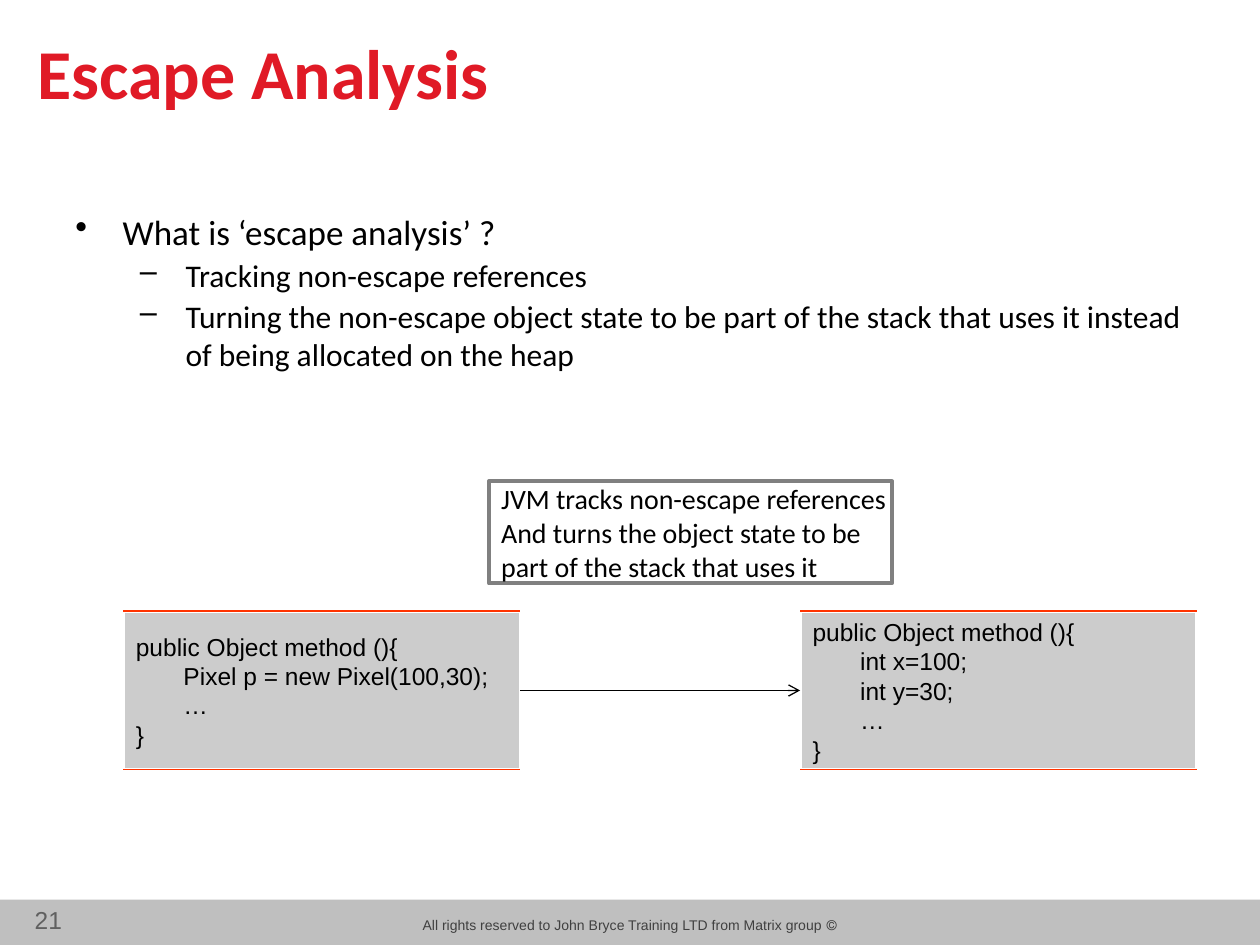
from lxml import etree
from pptx import Presentation
from pptx.dml.color import RGBColor
from pptx.enum.shapes import MSO_CONNECTOR, MSO_SHAPE
from pptx.enum.text import MSO_ANCHOR, PP_ALIGN
from pptx.oxml.ns import qn
from pptx.util import Inches, Pt

RECT, LINE = MSO_SHAPE.RECTANGLE, MSO_CONNECTOR.STRAIGHT
TOP, MID = MSO_ANCHOR.TOP, MSO_ANCHOR.MIDDLE
LEFT, CENTER, RIGHT = PP_ALIGN.LEFT, PP_ALIGN.CENTER, PP_ALIGN.RIGHT
COLS, ROWS, CELL = 100, 75, 0.1
RED, RULE, BLACK, WHITE = "E01A26", "FF3300", "000000", "FFFFFF"


def color(code):
    return RGBColor.from_string(code)


def grid(*cells):
    return [Inches(cell * CELL) for cell in cells]


def assign(target, values):
    for name, value in values.items():
        setattr(target, name, value)


class Page:
    font = {"name": "Calibri", "size": 16, "color": BLACK, "bold": False}

    def __init__(self, deck):
        self.slide = deck.slides.add_slide(deck.slide_layouts[6])
        self.shapes = self.slide.shapes

    def style(self, para, **look):
        look = {**self.font, **look}
        para.font.color.rgb = color(look.pop("color"))
        assign(para.font, {**look, "size": Pt(look["size"])})

    def label(self, shape, lines, anchor=MID, align=LEFT, wrap=True, **look):
        frame = shape.text_frame
        assign(frame, {"word_wrap": wrap, "vertical_anchor": anchor})
        frame.text = "\n".join(lines)
        for para in frame.paragraphs:
            para.alignment = align
            self.style(para, **look)
        return frame

    def text(self, area, lines, **look):
        return self.label(self.shapes.add_textbox(*grid(*area)), lines, **look)

    def box(self, area, fill=None, edge=None, width=1):
        shape = self.shapes.add_shape(RECT, *grid(*area))
        shape.shadow.inherit = False
        for part, code in ((shape.fill, fill), (shape.line.fill, edge)):
            if code:
                part.solid()
                part.fore_color.rgb = color(code)
            else:
                part.background()
        if edge:
            shape.line.width = Pt(width)
        return shape

    def line(self, ends, code, arrow=False):
        link = self.shapes.add_connector(LINE, *grid(*ends))
        link.line.color.rgb = color(code)
        link.line.width = Pt(0.75)
        props = link._element.spPr
        if arrow:
            etree.SubElement(props.find(qn("a:ln")), qn("a:tailEnd"), type="arrow")
        etree.SubElement(props, qn("a:effectLst"))

    def bullets(self, area, items):
        """Each item is (level, text)."""
        marks = [("•", 3.75, 20, 0), ("‒", 8.75, 18, 2)]
        frame = self.text(area, [text for _, text in items], anchor=TOP)
        for para, (level, _) in zip(frame.paragraphs, items):
            mark, indent, size, gap = marks[level]
            para.level = level
            para.space_before = Pt(gap)
            props = para._p.get_or_add_pPr()
            props.set("marL", str(grid(indent)[0]))
            props.set("indent", str(grid(-3.75)[0]))
            bullet = etree.Element(qn("a:buChar"), char=mark)
            props.insert_element_before(bullet, "a:tabLst", "a:defRPr")
            self.style(para, size=size)

    def code(self, area, lines):
        left, top, wide, high = area
        shape = self.box(area, "CCCCCC", WHITE, 2)
        self.label(shape, lines, wrap=False, name="Arial", size=14)
        for row in (top, top + high):
            self.line((left, row, left + wide, row), RULE)


def main():
    deck = Presentation()
    deck.slide_width, deck.slide_height = grid(COLS, ROWS)
    page = Page(deck)

    foot = 3.6
    page.box((0, ROWS - foot, COLS, foot), "BFBFBF")
    note = page.text((31.8, 72.2, 36.4, 2.4),
                     ["© All rights reserved to John Bryce Training LTD from Matrix group"],
                     align=CENTER, wrap=False, name="Arial", size=8, color="404040")
    note.paragraphs[0]._p.get_or_add_pPr().set("rtl", "1")
    page.text((0, 71.3, 5.9, 3.4), ["21"], align=RIGHT,
              name="Arial", size=14, color="606060")

    page.text((2, 1.4, 80.3, 8.5), ["Escape Analysis"],
              size=40, bold=True, color=RED)
    page.bullets((5, 16.2, 90, 53.5), [
        (0, "What is ‘escape analysis’ ?"),
        (1, "Tracking non-escape references"),
        (1, "Turning the non-escape object state to be part of the stack "
            "that uses it instead of being allocated on the heap"),
    ])

    before, after, top, wide, high = 9.8, 63.5, 48.5, 31.5, 12.6
    bodies = {
        before: ["Pixel p = new Pixel(100,30);", "…"],
        after: ["int x=100;", "int y=30;", "…"],
    }
    for left, body in bodies.items():
        inner = ["       " + step for step in body]
        page.code((left, top, wide, high),
                  ["public Object method (){", *inner, "}"])
    mid = top + high / 2
    page.line((before + wide, mid, after, mid), BLACK, arrow=True)

    hint = page.box((38.8, 38.2, 32, 8.1), edge="808080", width=2.25)
    page.label(hint, ["JVM tracks non-escape references",
                      "And turns the object state to be",
                      "part of the stack that uses it"], wrap=False)
    deck.save("out.pptx")


if __name__ == "__main__":
    main()
